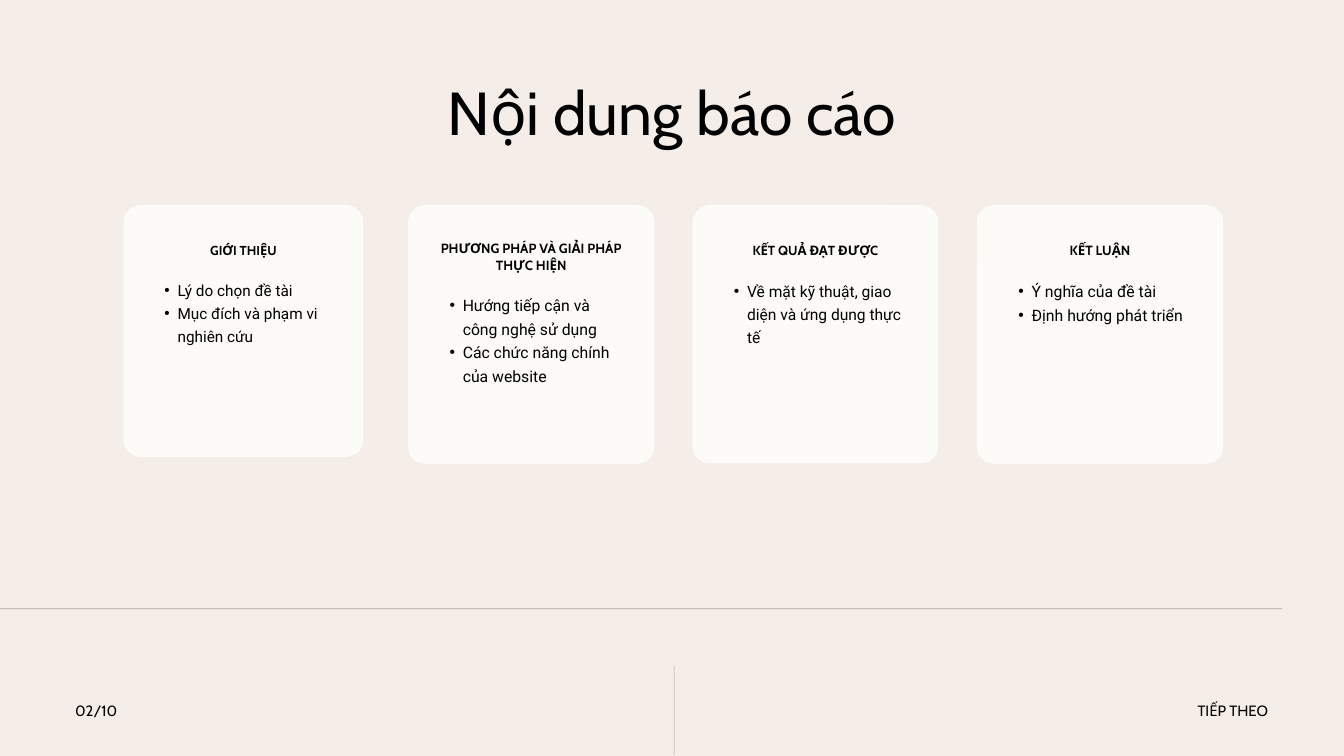
from lxml.etree import SubElement
from pptx import Presentation
from pptx.dml.color import RGBColor
from pptx.enum.shapes import MSO_CONNECTOR as Connector, MSO_SHAPE as Shape
from pptx.enum.text import MSO_ANCHOR as Anchor, MSO_AUTO_SIZE as AutoSize, PP_ALIGN as Align
from pptx.oxml.ns import qn
from pptx.util import Cm, Pt

SLIDE_WIDTH, SLIDE_HEIGHT = 50.8, 28.58
BACKGROUND, CARD_FILL, INK = "F4EDE8", "FCFBF7", "000000"
HEADING_FONT, BODY_FONT = "Cabin", "Roboto"
CARD_LEFT, CARD_TOP, CARD_PITCH = 4.67, 7.75, 10.75
CARD_RATIO, CORNER_RADIUS = 1.05, 0.66

CARDS = [
    dict(width=9.07, heading="GIỚI THIỆU", heading_size=13.9, body_size=16.4,
         heading_top=1.37, body_top=2.72, body_height=3.38,
         items=["Lý do chọn đề tài", "Mục đích và phạm vi nghiên cứu"]),
    dict(width=9.32, heading="PHƯƠNG PHÁP VÀ GIẢI PHÁP THỰC HIỆN", heading_size=14.3,
         body_size=16.9, heading_top=1.27, body_top=3.25, body_height=4.39,
         items=["Hướng tiếp cận và công nghệ sử dụng", "Các chức năng chính của website"]),
    dict(width=9.3, heading="KẾT QUẢ ĐẠT ĐƯỢC", heading_size=14.1, body_size=16.7,
         heading_top=1.37, body_top=2.72, body_height=2.54,
         items=["Về mặt kỹ thuật, giao diện và ứng dụng thực tế"]),
    dict(width=9.32, heading="KẾT LUẬN", heading_size=14.3, body_size=16.9,
         heading_top=1.37, body_top=2.72, body_height=2.62,
         items=["Ý nghĩa của đề tài", "Định hướng phát triển"]),
]


def set_color(color_format, hex_string):
    color_format.rgb = RGBColor.from_string(hex_string)


def add_bullet(paragraph):
    properties = paragraph._p.get_or_add_pPr()
    properties.set("marL", str(Cm(1)))
    properties.set("indent", str(-Cm(0.5)))
    SubElement(properties, qn("a:buFont"), typeface="Arial")
    SubElement(properties, qn("a:buChar"), char="•")


def fill_text(shape, lines, size, spacing, font=HEADING_FONT, align=Align.LEFT,
              bold=False, bullets=False):
    frame = shape.text_frame
    frame.word_wrap = True
    frame.auto_size = AutoSize.NONE
    frame.vertical_anchor = Anchor.TOP
    frame.margin_left = frame.margin_right = frame.margin_top = frame.margin_bottom = 0
    for index, line in enumerate(lines):
        paragraph = frame.add_paragraph() if index else frame.paragraphs[0]
        if bullets:
            add_bullet(paragraph)
        paragraph.alignment = align
        paragraph.line_spacing = Pt(spacing)
        run = paragraph.add_run()
        run.text = line
        run.font.name = font
        run.font.size = Pt(size)
        run.font.bold = bold
        set_color(run.font.color, INK)


def add_text(slide, left, top, width, height, lines, size, spacing, **style):
    box = slide.shapes.add_textbox(Cm(left), Cm(top), Cm(width), Cm(height))
    fill_text(box, lines, size, spacing, **style)


def add_rule(slide, x1, y1, x2, y2):
    rule = slide.shapes.add_connector(Connector.STRAIGHT, Cm(x1), Cm(y1), Cm(x2), Cm(y2))
    rule.line.width = Pt(0.75)
    set_color(rule.line.color, INK)
    color = rule.line._ln.find(".//" + qn("a:srgbClr"))
    SubElement(color, qn("a:alpha"), val="30000")
    SubElement(rule._element.spPr, qn("a:effectLst"))


def add_title(slide, left, top, width, height):
    title = slide.shapes.title
    title.left, title.top, title.width, title.height = Cm(left), Cm(top), Cm(width), Cm(height)
    fill_text(title, ["Nội dung báo cáo"], 65, 78, align=Align.CENTER)


def add_card(slide, left, top, width, card):
    height = width * CARD_RATIO
    panel = slide.shapes.add_shape(Shape.ROUNDED_RECTANGLE, Cm(left), Cm(top), Cm(width), Cm(height))
    panel.adjustments[0] = CORNER_RADIUS / width
    panel.shadow.inherit = False
    panel.fill.solid()
    set_color(panel.fill.fore_color, CARD_FILL)
    panel.line.fill.background()

    text_width = width * 0.77
    text_left = left + (width - text_width) / 2
    heading_top, body_top = top + card["heading_top"], top + card["body_top"]
    add_text(slide, text_left, heading_top, text_width, card["body_top"] - card["heading_top"] - 0.71,
             [card["heading"]], card["heading_size"], round(card["heading_size"] * 1.3, 1),
             align=Align.CENTER, bold=True)
    add_text(slide, text_left, body_top, text_width, card["body_height"], card["items"],
             card["body_size"], round(card["body_size"] * 1.5, 1), font=BODY_FONT, bullets=True)


def add_footer(slide, left, top, width, height):
    label_width = 6.6
    add_rule(slide, -2.34, top, 48.46, top)
    add_rule(slide, 25.48, top + 2.16, 25.48, top + height)
    add_text(slide, left, top + 3.4, label_width, 0.74, ["02/10"], 16, 22.4)
    add_text(slide, left + width - label_width, top + 3.4, label_width, 0.74, ["TIẾP THEO"],
             16, 22.4, align=Align.RIGHT)


def main():
    presentation = Presentation()
    presentation.slide_width, presentation.slide_height = Cm(SLIDE_WIDTH), Cm(SLIDE_HEIGHT)
    slide = presentation.slides.add_slide(presentation.slide_layouts[5])
    slide.background.fill.solid()
    set_color(slide.background.fill.fore_color, BACKGROUND)

    add_title(slide, 8.2, 2.84, 34.4, 2.74)
    for index, card in enumerate(CARDS):
        add_card(slide, CARD_LEFT + index * CARD_PITCH, CARD_TOP, card["width"], card)
    add_footer(slide, 2.84, 23.01, 45.09, 5.54)
    presentation.save("out.pptx")


if __name__ == "__main__":
    main()
